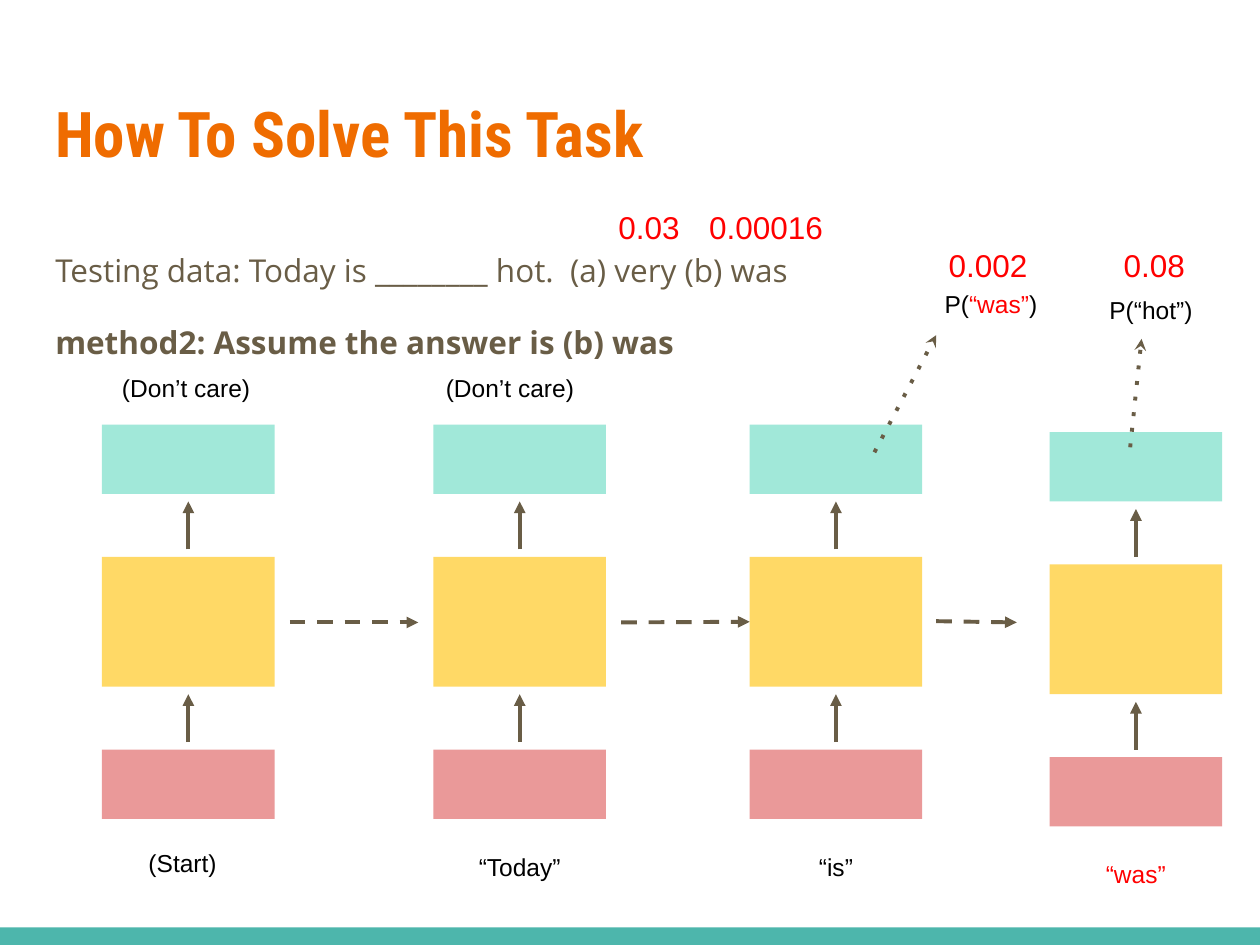
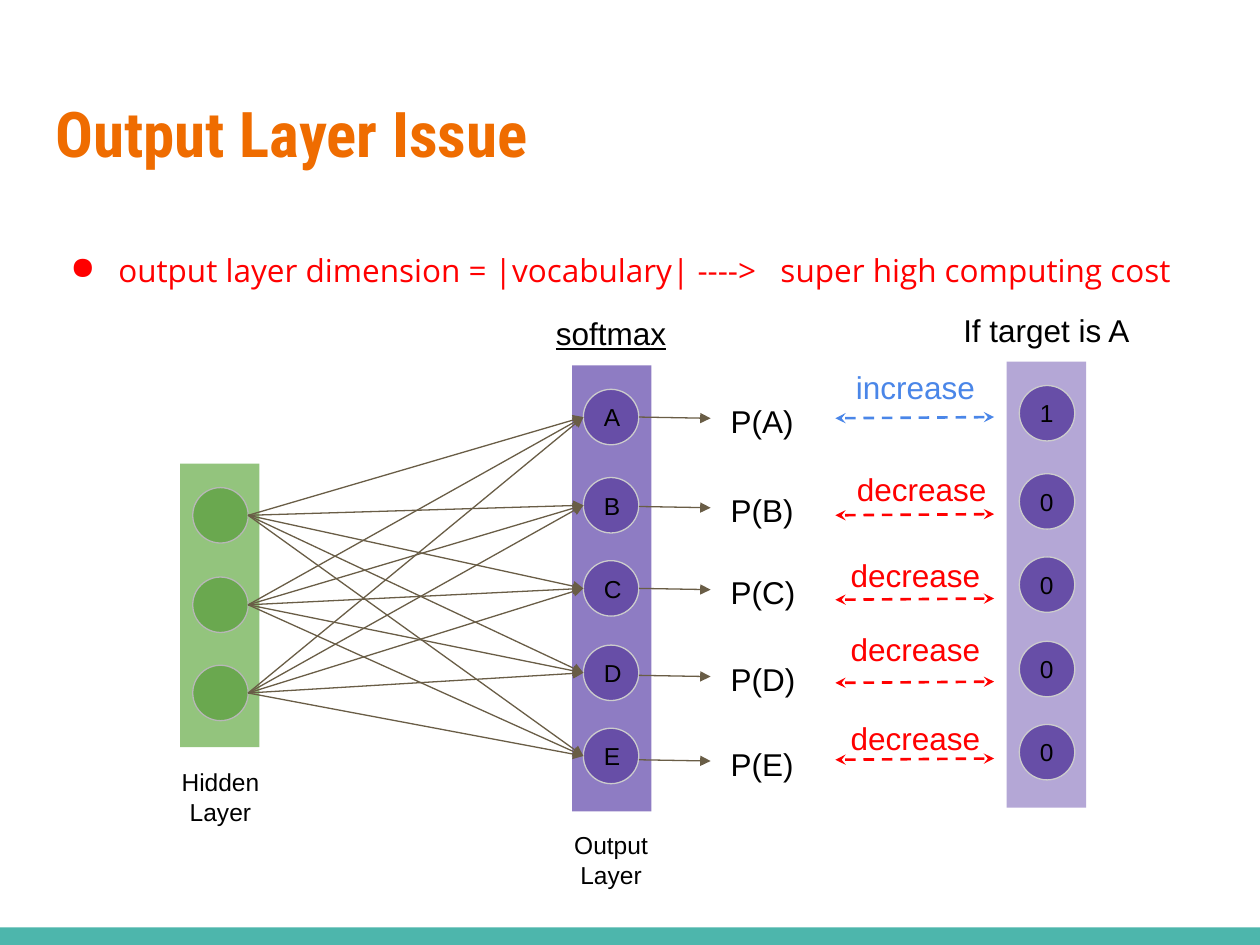
from lxml.etree import SubElement
from pptx import Presentation
from pptx.dml.color import RGBColor
from pptx.enum.shapes import MSO_CONNECTOR, MSO_SHAPE
from pptx.enum.text import MSO_ANCHOR, PP_ALIGN
from pptx.oxml.ns import qn
from pptx.util import Inches, Pt

WIDTH, HEIGHT = 10, 7.5
BLACK = RGBColor(0x00, 0x00, 0x00)
RED = RGBColor(0xFF, 0x00, 0x00)
BLUE = RGBColor(0x4A, 0x86, 0xE8)
ORANGE = RGBColor(0xEF, 0x6C, 0x00)
BROWN = RGBColor(0x69, 0x5D, 0x46)
TEAL = RGBColor(0x4D, 0xB6, 0xAC)
MINT = RGBColor(0xA1, 0xE8, 0xD9)
YELLOW = RGBColor(0xFF, 0xD9, 0x66)
PINK = RGBColor(0xEA, 0x99, 0x99)
LIGHT_GREEN = RGBColor(0x93, 0xC4, 0x7D)
GREEN = RGBColor(0x6A, 0xA8, 0x4F)
PURPLE = RGBColor(0x8E, 0x7C, 0xC3)
LILAC = RGBColor(0xB4, 0xA7, 0xD6)
DEEP_PURPLE = RGBColor(0x67, 0x4E, 0xA7)
GREY = RGBColor(0xB7, 0xB7, 0xB7)
PALE_GREY = RGBColor(0xCC, 0xCC, 0xCC)
LEFT, CENTER = PP_ALIGN.LEFT, PP_ALIGN.CENTER

# Slide 1: the recurrent network, one column per time step
TASK_TITLE = "How To Solve This Task"
TASK_LINES = ["Testing data: Today is ________ hot.  (a) very (b) was",
              "method2: Assume the answer is (b) was"]
CELL_WIDTH = 1.37
ARROW_GAP = 0.06
STEP_LAYERS = [(3.37, 0.55, MINT), (4.42, 1.03, YELLOW), (5.95, 0.55, PINK)]
STEPS = [(0.81, 0), (3.44, 0), (5.95, 0), (8.33, 0.06)]  # left, drop
STATE_ARROWS = [((2.3, 4.94), (3.32, 4.94)), ((4.93, 4.94), (5.95, 4.94)),
                ((7.43, 4.93), (8.07, 4.94))]
READOUT_ARROWS = [((6.94, 3.59), (7.43, 2.66)), ((8.97, 3.55), (9.06, 2.69))]
STEP_LABELS = [  # left, top, width, alignment, spans
    (0.87, 2.86, 1.37, LEFT, [("(Don’t care)", BLACK)]),
    (3.44, 2.86, 1.37, LEFT, [("(Don’t care)", BLACK)]),
    (1.08, 6.63, 0.85, LEFT, [("(Start)", BLACK)]),
    (3.44, 6.66, 1.37, CENTER, [("“Today”", BLACK)]),
    (5.95, 6.66, 1.37, CENTER, [("“is”", BLACK)]),
    (8.33, 6.72, 1.37, CENTER, [("“was”", RED)]),
    (7.18, 2.19, 1.37, CENTER, [("P(", BLACK), ("“was”", RED), (")", BLACK)]),
    (8.45, 2.24, 1.37, CENTER, [("P(“hot”)", BLACK)]),
]
PROBABILITIES = [(4.81, 1.55, 0.8, "0.03"), (5.53, 1.55, 1.2, "0.00016"),
                 (7.43, 1.85, 0.85, "0.002"), (8.82, 1.85, 0.8, "0.08")]

# Slide 2: hidden layer, output layer and target
ISSUE_TITLE = "Output Layer Issue"
ISSUE_LINE = "output layer dimension = |vocabulary| ---->   super high computing cost"
NODE = 0.44
LAYER_WIDTH = 0.63
HIDDEN_LEFT, OUTPUT_LEFT, TARGET_LEFT = 1.53, 4.63, 8.09
HIDDEN_TOPS = [3.87, 4.58, 5.28]
TARGET_RISE = 0.03
LAYERS = [(1.43, 3.68, 2.25, LIGHT_GREEN), (4.54, 2.9, 3.54, PURPLE),
          (7.99, 2.87, 3.54, LILAC)]
# word, target, node top, output arrow y, change, label left, label top, change y
WORDS = [
    ("A", "1", 3.09, 3.31, "increase", 6.57, 2.82, 3.32),
    ("B", "0", 3.79, 4.02, "decrease", 6.62, 3.63, 4.09),
    ("C", "0", 4.45, 4.67, "decrease", 6.57, 4.31, 4.76),
    ("D", "0", 5.12, 5.36, "decrease", 6.57, 4.9, 5.42),
    ("E", "0", 5.78, 6.03, "decrease", 6.57, 5.61, 6.03),
]
CHANGE_COLORS = {"increase": BLUE, "decrease": RED}
LAYER_LABELS = [(1.21, 5.99, 1.08, 0.58, "Hidden Layer", 14),
                (4.31, 6.49, 1.08, 0.58, "Output\nLayer", 14),
                (7.47, 2.37, 1.67, 0.44, "If target is A", 18)]


def style(paragraph, size, color, font="Arial", bold=False):
    for span in paragraph.runs:
        span.font.size = Pt(size)
        span.font.name = font
        span.font.bold = bold
        span.font.color.rgb = color


def set_margins(frame):
    frame.margin_left = frame.margin_right = Inches(0.1)
    frame.margin_top = frame.margin_bottom = Inches(0.1)
    frame.word_wrap = True


def add_text(page, left, top, width, height, text, size, color,
             align=LEFT, font="Arial", bold=False):
    box = page.shapes.add_textbox(*map(Inches, (left, top, width, height)))
    set_margins(box.text_frame)
    paragraph = box.text_frame.paragraphs[0]
    paragraph.text = text
    paragraph.alignment = align
    style(paragraph, size, color, font, bold)
    return box


def add_block(page, left, top, width, height, fill,
              kind=MSO_SHAPE.RECTANGLE, outline=None):
    block = page.shapes.add_shape(kind, *map(Inches, (left, top, width, height)))
    block.shadow.inherit = False
    block.fill.solid()
    block.fill.fore_color.rgb = fill
    if outline is None:
        block.line.fill.background()
    else:
        block.line.color.rgb = outline
        block.line.width = Pt(0.75)
    return block


def add_node(page, left, top, fill, outline, text=""):
    node = add_block(page, left, top, NODE, NODE, fill, MSO_SHAPE.OVAL, outline)
    if text:
        frame = node.text_frame
        set_margins(frame)
        frame.vertical_anchor = MSO_ANCHOR.MIDDLE
        frame.text = text
        frame.paragraphs[0].alignment = LEFT
        style(frame.paragraphs[0], 14, BLACK)


def add_arrow(page, start, end, width, color=BROWN, dash=None,
              tail="triangle", head=None):
    arrow = page.shapes.add_connector(MSO_CONNECTOR.STRAIGHT,
                                      *map(Inches, (*start, *end)))
    arrow.line.width = Pt(width)
    arrow.line.color.rgb = color
    outline = arrow.line._get_or_add_ln()
    if dash:
        SubElement(outline, qn("a:prstDash"), val=dash)
    if head:
        SubElement(outline, qn("a:headEnd"), type=head)
    SubElement(outline, qn("a:tailEnd"), type=tail)
    SubElement(arrow._element.spPr, qn("a:effectLst"))
    return arrow


def add_page(deck, title):
    """Blank slide with the shared bottom band and title."""
    page = deck.slides.add_slide(deck.slide_layouts[6])
    add_block(page, 0, HEIGHT - 0.14, WIDTH, 0.14, TEAL)
    add_text(page, 0.34, 0.65, 9.32, 1.03, title, 36, ORANGE,
             font="Roboto Condensed", bold=True)
    return page


def add_body(page, text, color):
    body = add_text(page, 0.34, 1.85, 9.32, 1.2, text, 18, color, font="Open Sans")
    body.text_frame.paragraphs[0].line_spacing = 1.15
    return body.text_frame


def build_task_slide(deck):
    page = add_page(deck, TASK_TITLE)
    question, method = TASK_LINES
    paragraph = add_body(page, question, BROWN).add_paragraph()
    paragraph.text = method
    paragraph.line_spacing = 1.15
    paragraph.space_before = paragraph.space_after = Pt(16)
    style(paragraph, 18, BROWN, "Open Sans", True)

    states = []
    for left, drop in STEPS:
        cells = [add_block(page, left, top + drop, CELL_WIDTH, height, fill)
                 for top, height, fill in STEP_LAYERS]
        states.append(cells[1])
        middle = left + CELL_WIDTH / 2
        for upper, lower in zip(STEP_LAYERS, STEP_LAYERS[1:]):
            add_arrow(page, (middle, lower[0] + drop - ARROW_GAP),
                      (middle, upper[0] + upper[1] + drop + ARROW_GAP), 2.25)

    state_arrows = [add_arrow(page, start, end, 2.25, dash="dash")
                    for start, end in STATE_ARROWS]
    state_arrows[1].end_connect(states[2], 1)
    for start, end in READOUT_ARROWS:
        add_arrow(page, start, end, 2.25, dash="dot", tail="stealth")

    for left, top, width, align, spans in STEP_LABELS:
        box = add_text(page, left, top, width, 0.38, "", 14, BLACK, align)
        paragraph = box.text_frame.paragraphs[0]
        for text, _ in spans:
            paragraph.add_run().text = text
        style(paragraph, 14, BLACK)
        for span, (_, color) in zip(paragraph.runs, spans):
            span.font.color.rgb = color
    for left, top, width, value in PROBABILITIES:
        add_text(page, left, top, width, 0.38, value, 18, RED)


def build_issue_slide(deck):
    page = add_page(deck, ISSUE_TITLE)
    bullet = add_body(page, ISSUE_LINE, RED).paragraphs[0]._p.get_or_add_pPr()
    bullet.set("marL", str(Inches(0.5)))
    bullet.set("indent", str(Inches(-0.38)))
    bullet_color = SubElement(bullet, qn("a:buClr"))
    SubElement(bullet_color, qn("a:srgbClr"), val=str(RED))
    SubElement(bullet, qn("a:buChar"), char="●")

    for left, top, height, fill in LAYERS:
        add_block(page, left, top, LAYER_WIDTH, height, fill)
    for top in HIDDEN_TOPS:
        add_node(page, HIDDEN_LEFT, top, GREEN, GREY)

    for word, target, top, arrow_y, change, label_left, label_top, change_y in WORDS:
        add_node(page, OUTPUT_LEFT, top, DEEP_PURPLE, PALE_GREY, word)
        add_node(page, TARGET_LEFT, top - TARGET_RISE, DEEP_PURPLE, PALE_GREY, target)
        for hidden_top in HIDDEN_TOPS:
            add_arrow(page, (HIDDEN_LEFT + NODE, hidden_top + NODE / 2),
                      (OUTPUT_LEFT, top + NODE / 2), 0.75)
        add_arrow(page, (OUTPUT_LEFT + NODE, arrow_y), (5.64, arrow_y + 0.01), 0.75)
        add_text(page, 5.7, arrow_y - 0.22, 0.82, 0.38, f"P({word})", 18, BLACK)
        color = CHANGE_COLORS[change]
        add_arrow(page, (6.63, change_y), (7.89, change_y - 0.01), 1.5, color,
                  "dash", "stealth", "stealth")
        add_text(page, label_left, label_top, 1.39, 0.38, change, 18, color, CENTER)

    softmax = add_text(page, 4.23, 2.39, 1.24, 0.38, "softmax", 18, BLACK, CENTER)
    softmax.text_frame.paragraphs[0].runs[0].font.underline = True
    for left, top, width, height, text, size in LAYER_LABELS:
        add_text(page, left, top, width, height, text, size, BLACK, CENTER)


def main():
    deck = Presentation()
    deck.slide_width, deck.slide_height = Inches(WIDTH), Inches(HEIGHT)
    build_task_slide(deck)
    build_issue_slide(deck)
    deck.save("out.pptx")


if __name__ == "__main__":
    main()
